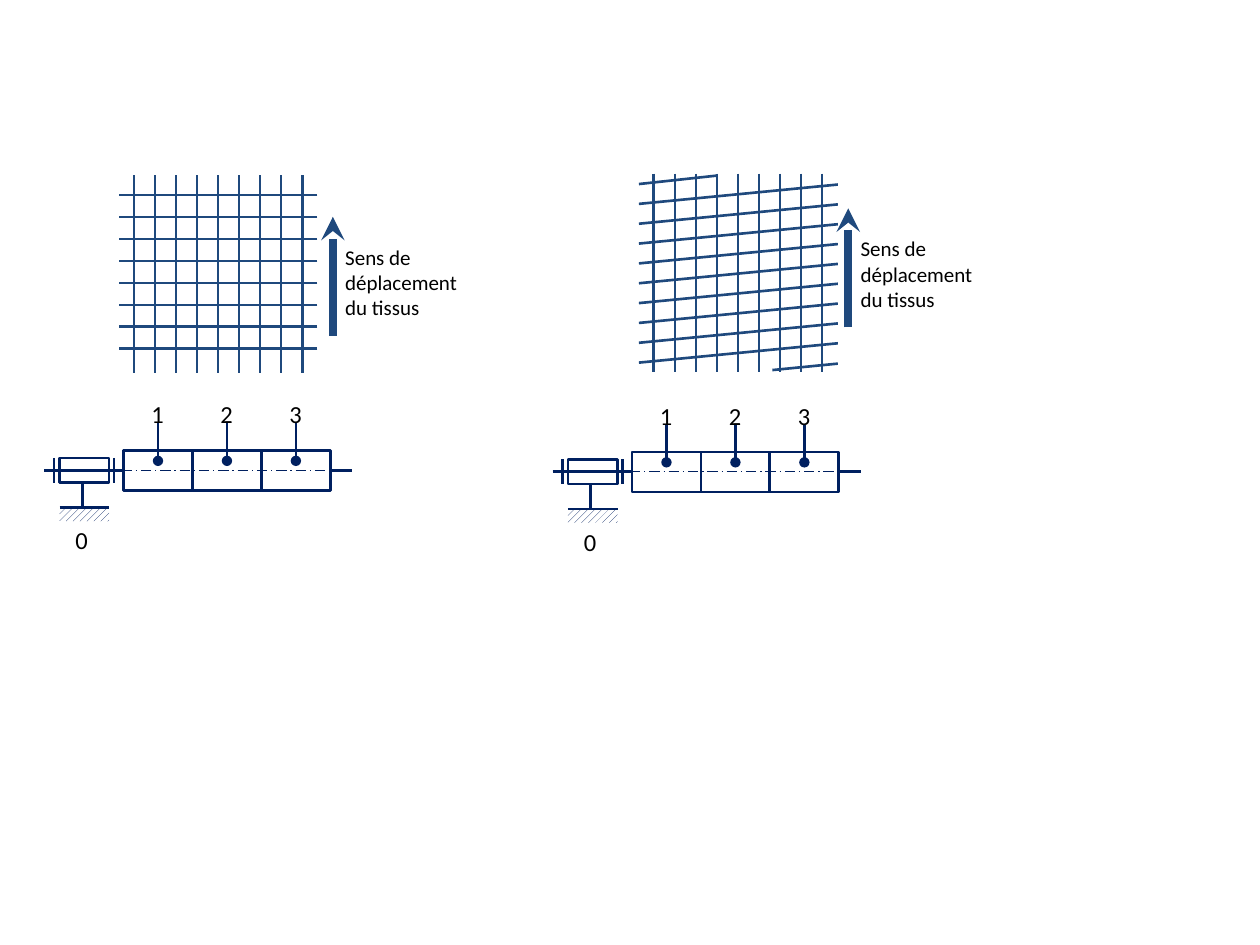
import pptx
import pptx.dml.color
import pptx.enum.dml
import pptx.enum.shapes
import pptx.enum.text
import pptx.oxml
import pptx.oxml.ns
import pptx.util

Cm = pptx.util.Cm
Pt = pptx.util.Pt
BLUE, NAVY, BLACK, WHITE = "1F497D", "002060", "000000", "FFFFFF"

# Content: lengths in centimetres
CAPTION = "Sens de déplacement du tissus"
ROLLS = ["1", "2", "3"]
FRAME = "0"
WARP_COUNT, WARP_STEP = 9, 0.424
STRAIGHT_WEFT = [(2.39, 3.93 + 0.443 * i, 6.4, 3.93 + 0.443 * i) for i in range(8)]
SLANTED_WEFT = [
    (12.88, 3.71, 14.45, 3.54),
    *[(12.88, 4.11 + 0.4 * i, 16.89, 3.72 + 0.4 * i) for i in range(9)],
    (15.57, 7.46, 16.89, 7.33),
]
FABRICS = [  # first warp thread (x, top), weft threads, arrow (x, top)
    {"warp": (2.7, 3.53), "weft": STRAIGHT_WEFT, "arrow": (6.71, 4.37)},
    {"warp": (13.18, 3.5), "weft": SLANTED_WEFT, "arrow": (17.1, 4.2)},
]
MACHINES = [(0.89, 9.48), (11.14, 9.51)]  # left end of each shaft


def color(code):
    return pptx.dml.color.RGBColor.from_string(code)


def add_line(shapes, x1, y1, x2, y2, code, width=1.5, end=None, dash=None):
    line = shapes.add_connector(pptx.enum.shapes.MSO_CONNECTOR.STRAIGHT,
                                Cm(x1), Cm(y1), Cm(x2), Cm(y2))
    line.line.color.rgb = color(code)
    line.line.width = Pt(width)
    if dash:
        line.line.dash_style = dash
    properties = line._element.spPr
    if end:
        tag, kind = end
        head = pptx.oxml.parse_xml(
            f'<a:{tag} {pptx.oxml.ns.nsdecls("a")} type="{kind}"/>')
        line.line._get_or_add_ln().append(head)
    properties.append(pptx.oxml.parse_xml(
        f'<a:effectLst {pptx.oxml.ns.nsdecls("a")}/>'))


def add_box(shapes, x, y, width, height):
    box = shapes.add_shape(pptx.enum.shapes.MSO_SHAPE.RECTANGLE,
                           Cm(x), Cm(y), Cm(width), Cm(height))
    box.shadow.inherit = False
    box.fill.background()
    box.line.color.rgb = color(NAVY)
    box.line.width = Pt(1.5)
    return box


def add_text(shapes, text, x, y, width, height, size, wrap):
    box = shapes.add_textbox(Cm(x), Cm(y), Cm(width), Cm(height))
    frame = box.text_frame
    frame.text = text
    frame.word_wrap = wrap
    frame.auto_size = pptx.enum.text.MSO_AUTO_SIZE.SHAPE_TO_FIT_TEXT
    font = frame.paragraphs[0].runs[0].font
    font.name, font.size = "Calibri", Pt(size)
    font.color.rgb = color(BLACK)


def add_fabric(shapes, warp, weft, arrow):
    left, top = warp
    for i in range(WARP_COUNT):
        x = left + i * WARP_STEP
        add_line(shapes, x, top, x, top + 3.99, BLUE)
    for x1, y1, x2, y2 in weft:
        add_line(shapes, x2, y2, x1, y1, BLUE)
    # Direction of travel
    x, y = arrow
    add_line(shapes, x, y + 2.4, x, y, BLUE, 4.5, ("tailEnd", "stealth"))
    add_text(shapes, CAPTION, x, y + 0.43, 3, 1.8, 12, True)


def add_machine(shapes, x, y):
    # Fixed frame: hatched ground, bearing, stops and post
    ground = add_box(shapes, x + 0.31, y + 0.75, 1, 0.28)
    ground.line.fill.background()
    ground.fill.patterned()
    ground.fill.pattern = pptx.enum.dml.MSO_PATTERN.WIDE_UPWARD_DIAGONAL
    ground.fill.fore_color.rgb = color(NAVY)
    ground.fill.back_color.rgb = color(WHITE)
    add_box(shapes, x + 0.31, y - 0.25, 1, 0.5)
    shaft = (x, y, x + 6.21, y)
    add_line(shapes, *shaft, NAVY)
    for stop in (x + 0.2, x + 1.41):
        add_line(shapes, stop, y - 0.25, stop, y + 0.25, NAVY)
    add_line(shapes, x + 0.77, y + 0.25, x + 0.77, y + 0.75, NAVY)
    add_line(shapes, x + 0.31, y + 0.75, x + 1.31, y + 0.75, NAVY)

    # Rolls on the shaft, then the axis over them
    roll_width = 1.39
    lefts = [x + 1.6 + i * roll_width for i in range(len(ROLLS))]
    for left in lefts:
        roll = add_box(shapes, left, y - 0.4, roll_width, 0.81)
        roll.fill.solid()
        roll.fill.fore_color.rgb = color(WHITE)
    add_line(shapes, *shaft, NAVY, 0.75,
             dash=pptx.enum.dml.MSO_LINE.LONG_DASH_DOT)

    # Leaders and numbers
    for left, number in zip(lefts, ROLLS):
        middle = left + roll_width / 2
        add_line(shapes, middle, y - 0.19, middle, y - 0.95, NAVY,
                 end=("headEnd", "oval"))
        add_text(shapes, number, middle - 0.38, y - 1.56, 0.76, 0.86, 14, False)
    add_text(shapes, FRAME, x + 0.38, y + 0.98, 0.76, 0.86, 14, False)


def main():
    deck = pptx.Presentation()
    deck.slide_width, deck.slide_height = Cm(25.4), Cm(19.05)
    page = deck.slides.add_slide(deck.slide_layouts[6])
    for fabric in FABRICS:
        add_fabric(page.shapes, **fabric)
    for x, y in MACHINES:
        add_machine(page.shapes.add_group_shape().shapes, x, y)
    deck.save("out.pptx")


if __name__ == "__main__":
    main()
